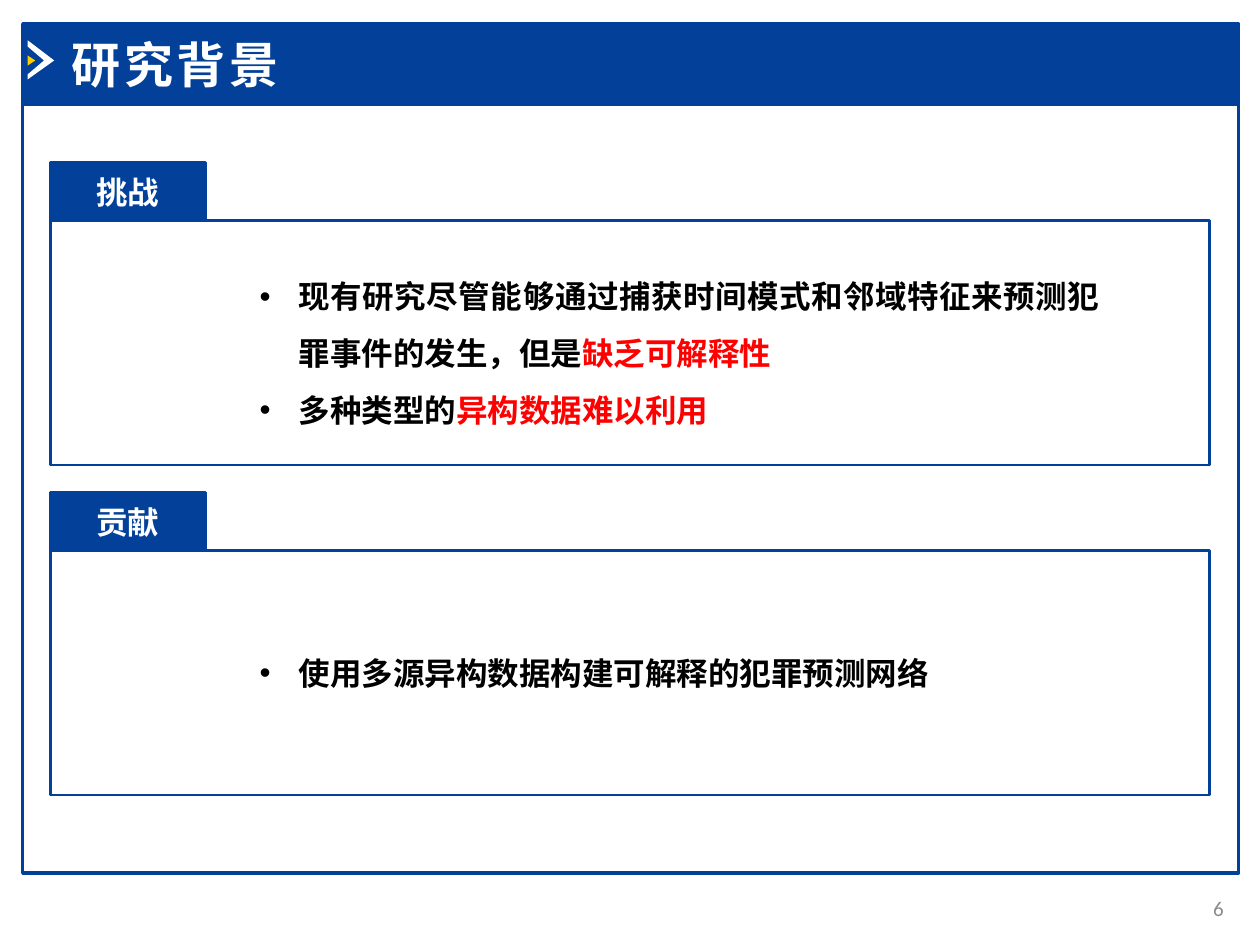
from lxml import etree
from pptx import Presentation
from pptx.dml.color import RGBColor
from pptx.enum.shapes import MSO_SHAPE
from pptx.enum.text import MSO_ANCHOR, MSO_AUTO_SIZE, PP_ALIGN
from pptx.oxml.ns import qn
from pptx.util import Inches, Pt

RECT = MSO_SHAPE.RECTANGLE
TOP, MIDDLE = MSO_ANCHOR.TOP, MSO_ANCHOR.MIDDLE
LEFT, CENTER, RIGHT, JUSTIFY = PP_ALIGN.LEFT, PP_ALIGN.CENTER, PP_ALIGN.RIGHT, PP_ALIGN.JUSTIFY
FIXED = MSO_AUTO_SIZE.NONE
BLUE, WHITE, BLACK, RED = "02409A", "FFFFFF", "000000", "FF0000"
YELLOW, GRAY = "FFCC00", "8C8C8C"

CARDS = [
    ("挑战", 1.29, (1.46, 2, 7.37, 1.41), [
        [("现有研究尽管能够通过捕获时间模式和邻域特征来预测犯罪事件的发生，但是", BLACK),
         ("缺乏可解释性", RED)],
        [("多种类型的", BLACK), ("异构数据难以利用", RED)],
    ]),
    ("贡献", 3.91, (1.46, 4.99, 7.12, 0.51), [
        [("使用多源异构数据构建可解释的犯罪预测网络", BLACK)],
    ]),
]


def color(code):
    """Turn a hex string into a colour."""
    return RGBColor.from_string(code)


def add_run(para, text, size, code, bold=True):
    """Add one formatted run to a paragraph."""
    run = para.add_run()
    run.text = text
    font = run.font
    font.name, font.size, font.bold = "Calibri", Pt(size), bold
    font.color.rgb = color(code)
    return run


def add_rect(slide, box, width, fill=None):
    """Draw a blue-edged rectangle, filled or hollow."""
    rect = slide.shapes.add_shape(RECT, *map(Inches, box))
    rect.shadow.inherit = False
    rect.line.color.rgb = color(BLUE)
    rect.line.width = Pt(width)
    if fill:
        rect.fill.solid()
        rect.fill.fore_color.rgb = color(fill)
    else:
        rect.fill.background()
    return rect


def add_mark(slide, points, code):
    """Draw a closed outline from points in hundredths of an inch."""
    pen = slide.shapes.build_freeform(*points[0], scale=Inches(0.01))
    pen.add_line_segments(points[1:])
    mark = pen.convert_to_shape()
    mark.shadow.inherit = False
    mark.fill.solid()
    mark.fill.fore_color.rgb = color(code)
    mark.line.fill.background()


def place(holder, box):
    """Move a placeholder to a box and bring it to the front."""
    holder.left, holder.top, holder.width, holder.height = map(Inches, box)
    holder.element.getparent().append(holder.element)
    frame = holder.text_frame
    frame.auto_size, frame.vertical_anchor = FIXED, TOP
    frame.word_wrap = True
    return frame


def set_title(slide, text):
    """Fill the title placeholder with spaced white text."""
    para = place(slide.shapes.title, (0.47, 0.22, 3.56, 0.57)).paragraphs[0]
    para.alignment = LEFT
    run = add_run(para, text, 28, WHITE)
    run.font._element.set("spc", "200")


def set_list(holder, box, items):
    """Fill a body placeholder with bulleted items."""
    frame = place(holder, box)
    for i, item in enumerate(items):
        para = frame.add_paragraph() if i else frame.paragraphs[0]
        para.level = 1
        props = para._p.get_or_add_pPr()
        props.set("marL", str(Inches(0.81)))
        props.set("indent", str(Inches(-0.31)))
        etree.SubElement(props, qn("a:buFont")).set("typeface", "Arial")
        etree.SubElement(props, qn("a:buChar")).set("char", "•")
        para.alignment, para.line_spacing = JUSTIFY, 1.5
        para.space_before = Pt(0)
        for text, code in item:
            add_run(para, text, 18, code)


def add_card(slide, holder, label, top, box, items):
    """Draw a labelled frame with its list."""
    add_rect(slide, (0.4, top + 0.46, 9.2, 1.94), 1.5)
    tab = add_rect(slide, (0.4, top, 1.23, 0.46), 1.5, BLUE)
    tab.text_frame.vertical_anchor = MIDDLE
    para = tab.text_frame.paragraphs[0]
    para.alignment = CENTER
    add_run(para, label, 18, WHITE)
    set_list(holder, box, items)


def add_number(slide, text):
    """Write the page number at the lower right."""
    box = slide.shapes.add_textbox(*map(Inches, (9.22, 7.01, 0.59, 0.4)))
    frame = box.text_frame
    frame.word_wrap, frame.vertical_anchor = True, MIDDLE
    para = frame.paragraphs[0]
    para.alignment = RIGHT
    add_run(para, text, 12, GRAY, False)


def main():
    """Build the slide and save it."""
    deck = Presentation()
    deck.slide_width, deck.slide_height = Inches(10), Inches(7.5)
    slide = deck.slides.add_slide(deck.slide_layouts[3])
    bodies = [slide.placeholders[1], slide.placeholders[2]]
    add_rect(slide, (0.18, 0.83, 9.65, 6.1), 2)
    add_rect(slide, (0.18, 0.19, 9.65, 0.64), 2, BLUE)
    add_mark(slide, [(22, 32), (43, 48), (22, 63), (22, 59), (35, 48), (22, 37)], WHITE)
    add_mark(slide, [(22, 44), (28, 48), (22, 52)], YELLOW)
    set_title(slide, "研究背景")
    for holder, card in zip(bodies, CARDS):
        add_card(slide, holder, *card)
    add_number(slide, "6")
    deck.save("out.pptx")


if __name__ == "__main__":
    main()
